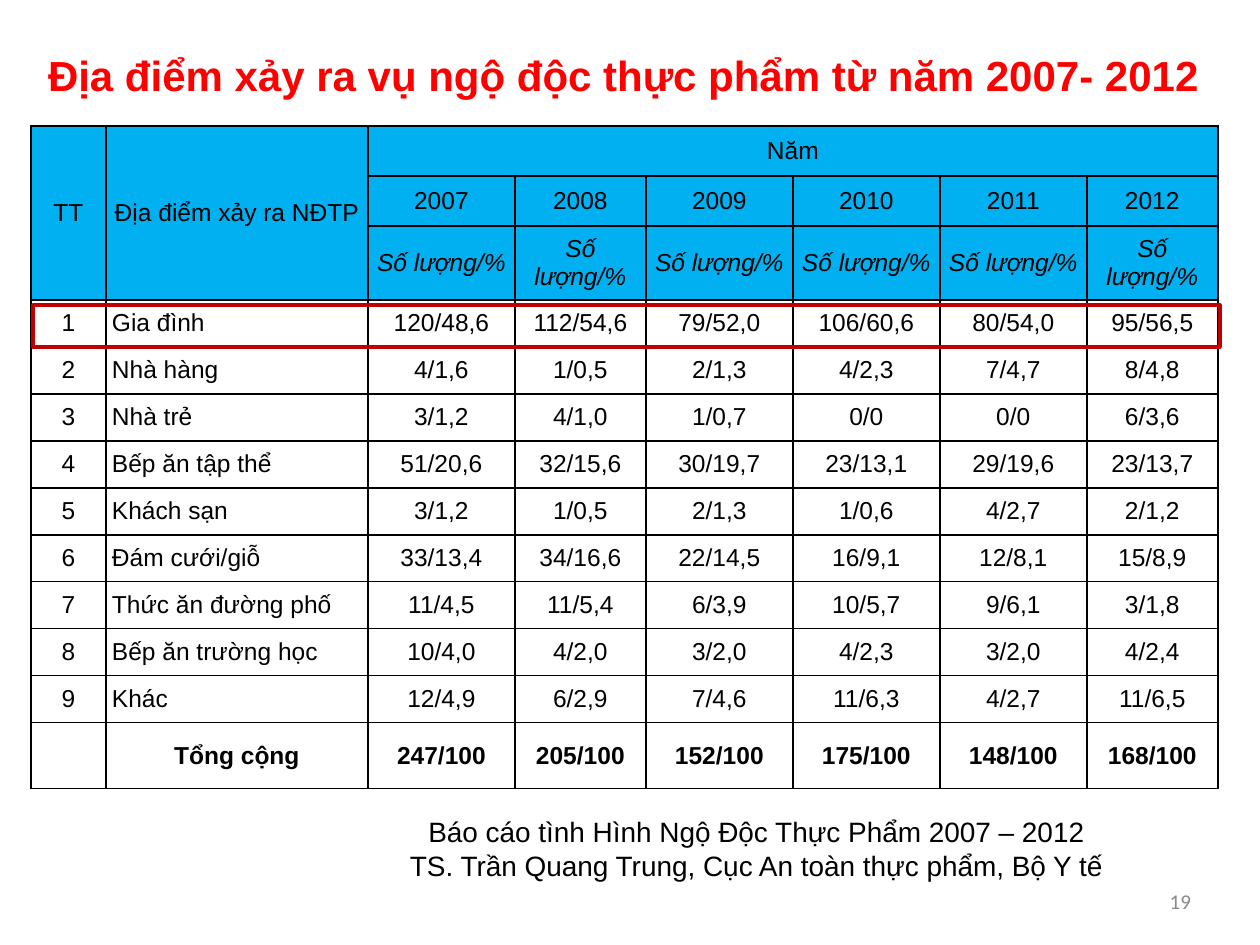
import lxml.etree
import pptx
import pptx.dml.color
import pptx.enum.shapes
import pptx.enum.text
import pptx.oxml.ns
import pptx.util

PX = 7257  # EMU in one px, 126 px to the inch
ALIGN = pptx.enum.text.PP_ALIGN
MID = pptx.enum.text.MSO_ANCHOR.MIDDLE
TOP = pptx.enum.text.MSO_ANCHOR.TOP


class Theme:
    font, small_font = "Arial", "Calibri"
    title, note, cell, page = 24, 16, 14, 12
    red, black, blue = "FF0000", "000000", "00B0F0"
    mark, grey = "C00000", "898989"


def write(frame, text, size=Theme.cell, color=Theme.black, font=Theme.font,
          bold=False, italic=False, align=ALIGN.CENTER):
    """Fill a text frame, one paragraph for each line of text."""
    for i, line in enumerate(text.split("\n")):
        para = frame.add_paragraph() if i else frame.paragraphs[0]
        para.alignment = align
        run = para.add_run()
        run.text = line
        run.font.name = font
        run.font.size = pptx.util.Pt(size)
        run.font.bold, run.font.italic = bold, italic
        run.font.color.rgb = pptx.dml.color.RGBColor.from_string(color)


def setup(frame, wrap=True, anchor=MID):
    frame.margin_left = frame.margin_right = 6 * PX
    frame.margin_top = frame.margin_bottom = 6 * PX
    frame.word_wrap = wrap
    frame.vertical_anchor = anchor
    frame.auto_size = pptx.enum.text.MSO_AUTO_SIZE.NONE
    return frame


deck = pptx.Presentation()
deck.slide_width, deck.slide_height = pptx.util.Inches(10), pptx.util.Inches(7.5)
slide = deck.slides.add_slide(deck.slide_layouts[5])
shapes = slide.shapes

# Title
title = shapes.title
title.left, title.top, title.width, title.height = 42 * PX, 44 * PX, 1177 * PX, 61 * PX
write(setup(title.text_frame, wrap=False),
      "Địa điểm xảy ra vụ ngộ độc thực phẩm từ năm 2007- 2012",
      size=Theme.title, color=Theme.red, bold=True, align=ALIGN.LEFT)

# Source note
note = shapes.add_textbox(284 * PX, 809 * PX, 945 * PX, 74 * PX)
write(setup(note.text_frame, anchor=TOP),
      "Báo cáo tình Hình Ngộ Độc Thực Phẩm 2007 – 2012\n"
      "TS. Trần Quang Trung, Cục An toàn thực phẩm, Bộ Y tế", size=Theme.note)

# Table of places by year
places = [
    ("Gia đình", "120/48,6 112/54,6 79/52,0 106/60,6 80/54,0 95/56,5"),
    ("Nhà hàng", "4/1,6 1/0,5 2/1,3 4/2,3 7/4,7 8/4,8"),
    ("Nhà trẻ", "3/1,2 4/1,0 1/0,7 0/0 0/0 6/3,6"),
    ("Bếp ăn tập thể", "51/20,6 32/15,6 30/19,7 23/13,1 29/19,6 23/13,7"),
    ("Khách sạn", "3/1,2 1/0,5 2/1,3 1/0,6 4/2,7 2/1,2"),
    ("Đám cưới/giỗ", "33/13,4 34/16,6 22/14,5 16/9,1 12/8,1 15/8,9"),
    ("Thức ăn đường phố", "11/4,5 11/5,4 6/3,9 10/5,7 9/6,1 3/1,8"),
    ("Bếp ăn trường học", "10/4,0 4/2,0 3/2,0 4/2,3 3/2,0 4/2,4"),
    ("Khác", "12/4,9 6/2,9 7/4,6 11/6,3 4/2,7 11/6,5"),
]
totals = "247/100 205/100 152/100 175/100 148/100 168/100"
heads = 3
rows = [
    ["TT", "Địa điểm xảy ra NĐTP", "Năm"] + [""] * 5,
    ["", ""] + [str(year) for year in range(2007, 2013)],
    ["", ""] + ["Số lượng/%"] * 6,
]
rows += [[str(i), name] + data.split() for i, (name, data) in enumerate(places, 1)]
rows.append(["", "Tổng cộng"] + totals.split())

widths = [75, 262, 147, 131, 147, 147, 147, 131]
heights = [50, 50, 74] + [47] * len(places) + [66]
table = shapes.add_table(len(rows), len(widths), 31 * PX, 126 * PX,
                         sum(widths) * PX, sum(heights) * PX).table
table.first_row = table.horz_banding = False
for col, width in zip(table.columns, widths):
    col.width = width * PX
for row, height in zip(table.rows, heights):
    row.height = height * PX

qn = pptx.oxml.ns.qn
last = len(rows) - 1
for r, row in enumerate(rows):
    for c, text in enumerate(row):
        cell = table.cell(r, c)
        cell.margin_left = cell.margin_right = 6 * PX
        cell.margin_top = cell.margin_bottom = 6 * PX
        cell.vertical_anchor = MID
        props = cell._tc.get_or_add_tcPr()
        for side in ("a:lnL", "a:lnR", "a:lnT", "a:lnB"):
            line = lxml.etree.SubElement(props, qn(side), w="12700")
            fill = lxml.etree.SubElement(line, qn("a:solidFill"))
            lxml.etree.SubElement(fill, qn("a:srgbClr"), val=Theme.black)
        if r < heads:
            cell.fill.solid()
            cell.fill.fore_color.rgb = pptx.dml.color.RGBColor.from_string(Theme.blue)
        else:
            cell.fill.background()
        if text:
            place = c == 1 and heads <= r < last
            write(cell.text_frame, text, bold=r == last, italic=r == heads - 1,
                  align=ALIGN.JUSTIFY if place else ALIGN.CENTER)

for c in (0, 1):
    table.cell(0, c).merge(table.cell(heads - 1, c))
table.cell(0, 2).merge(table.cell(0, len(widths) - 1))

# Frame around the first place
mark = shapes.add_shape(pptx.enum.shapes.MSO_SHAPE.RECTANGLE,
                        33 * PX, 305 * PX, 1187 * PX, 42 * PX)
mark.shadow.inherit = False
mark.fill.background()
mark.line.color.rgb = pptx.dml.color.RGBColor.from_string(Theme.mark)
mark.line.width = pptx.util.Pt(2)

# Page number
page = shapes.add_textbox(1159 * PX, 883 * PX, 38 * PX, 37 * PX)
write(setup(page.text_frame, wrap=False), "19", size=Theme.page,
      color=Theme.grey, font=Theme.small_font, align=ALIGN.RIGHT)

deck.save("out.pptx")
